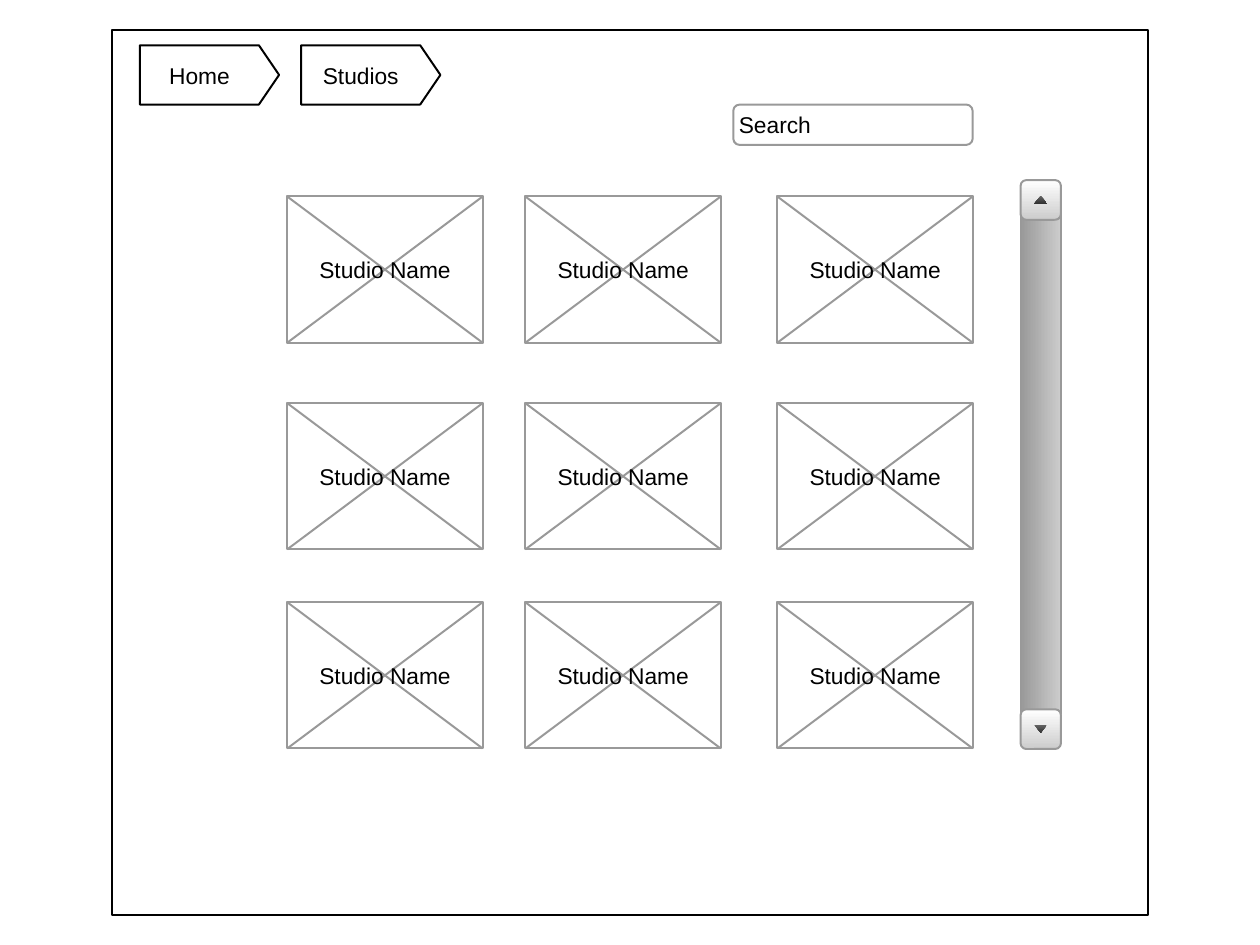
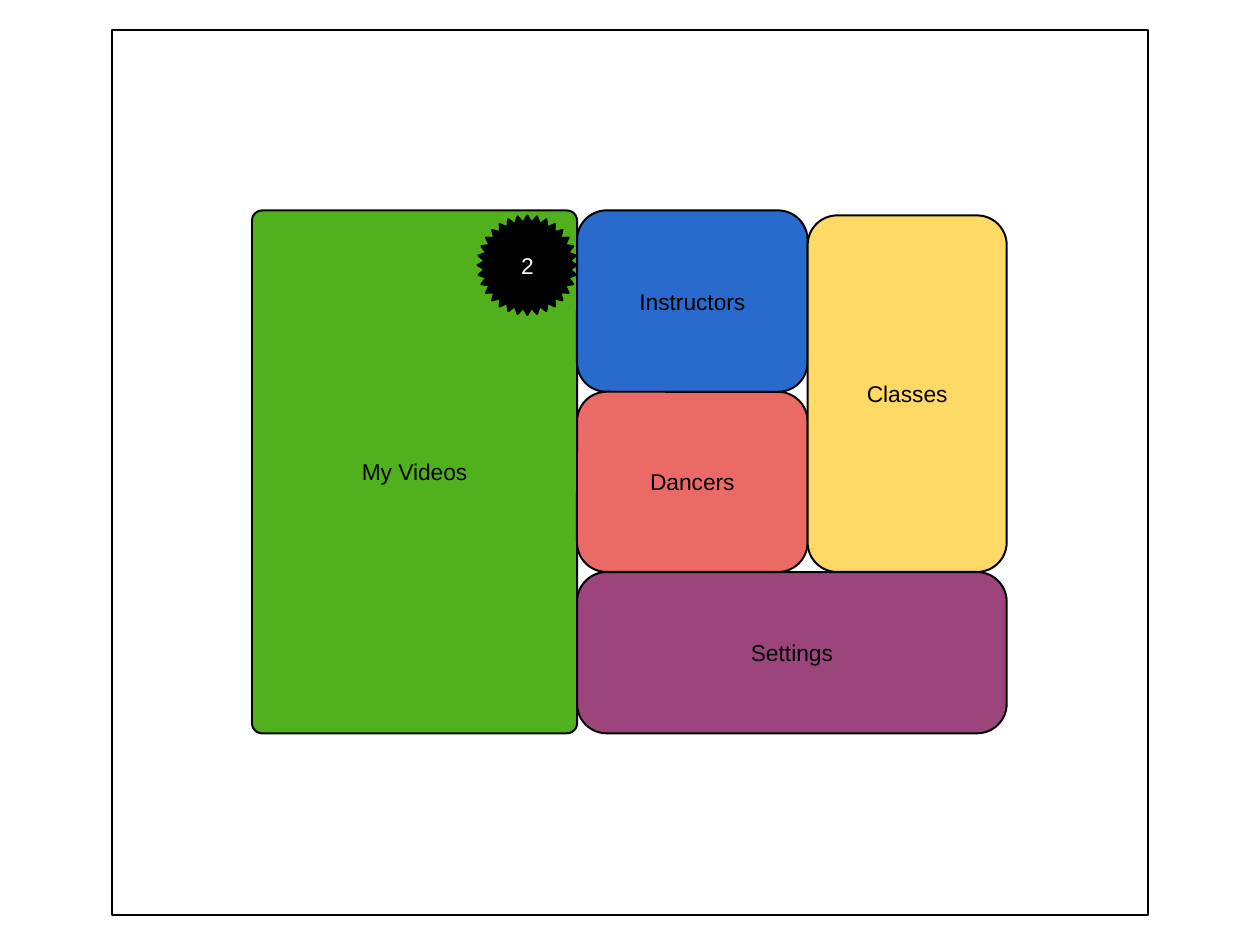
"""Build two app wireframes: a studio browser and a home menu."""
from itertools import product

from lxml.etree import SubElement
from pptx import Presentation
from pptx.dml.color import RGBColor
from pptx.enum.shapes import MSO_CONNECTOR as CONN, MSO_SHAPE as SHAPE
from pptx.enum.text import MSO_ANCHOR as ANCHOR, PP_ALIGN as ALIGN
from pptx.oxml.ns import qn
from pptx.util import Inches, Pt

BLACK, WHITE, GREY, SILVER = "000000", "FFFFFF", "999999", "CCCCCC"
LINE_W = Pt(1.13)
ROUND = SHAPE.ROUNDED_RECTANGLE

prs = Presentation()
prs.slide_width, prs.slide_height = Inches(10), Inches(7.5)
CELL = prs.slide_width / 100


def write(sp, text, color=BLACK, align=ALIGN.CENTER, left=0, right=0):
    tf = sp.text_frame
    tf.word_wrap = True
    tf.vertical_anchor = ANCHOR.MIDDLE
    tf.margin_top = tf.margin_bottom = 0
    tf.margin_left, tf.margin_right = int(left * CELL), int(right * CELL)
    p = tf.paragraphs[0]
    p.text, p.alignment = text, align
    p.font.name, p.font.size = "Arial", Pt(13)
    p.font.color.rgb = RGBColor.from_string(color)


def box(s, kind, rect, fill=WHITE, line=BLACK, radius=None, angle=270):
    sp = s.shapes.add_shape(kind, *(int(v * CELL) for v in rect))
    sp.shadow.inherit = False
    if isinstance(fill, tuple):
        sp.fill.gradient()
        sp.fill.gradient_angle = angle
        for stop, color in zip(sp.fill.gradient_stops, fill):
            stop.color.rgb = RGBColor.from_string(color)
    else:
        sp.fill.solid()
        sp.fill.fore_color.rgb = RGBColor.from_string(fill)
    if line:
        sp.line.color.rgb = RGBColor.from_string(line)
        sp.line.width = LINE_W
    else:
        sp.line.fill.background()
    if radius:
        sp.adjustments[0] = radius / min(rect[2:])
    return sp


studios, menu = (prs.slides.add_slide(prs.slide_layouts[6]) for _ in range(2))
for s in (studios, menu):
    box(s, SHAPE.RECTANGLE, (8.9, 2.4, 82.2, 70.2))

for x, crumb in ((11.1, "Home"), (23.9, "Studios")):
    sp = box(studios, SHAPE.PENTAGON, (x, 3.6, 11.05, 4.7), radius=1.6)
    write(sp, crumb, right=0.8)

search = box(studios, ROUND, (58.2, 8.3, 19, 3.2), line=GREY, radius=0.5)
write(search, "Search", align=ALIGN.LEFT, left=0.3)

TILE_W, TILE_H = 15.5, 11.6
for y, x in product((15.6, 32, 47.8), (22.8, 41.7, 61.7)):
    tile = (x, y, TILE_W, TILE_H)
    box(studios, SHAPE.RECTANGLE, tile, line=GREY)
    for x1, x2 in ((x, x + TILE_W), (x + TILE_W, x)):
        ends = (int(v * CELL) for v in (x1, y, x2, y + TILE_H))
        diagonal = studios.shapes.add_connector(CONN.STRAIGHT, *ends)
        diagonal.line.color.rgb = RGBColor.from_string(GREY)
        diagonal.line.width = LINE_W
        SubElement(diagonal.element.spPr, qn("a:effectLst"))
    write(studios.shapes.add_textbox(*(int(v * CELL) for v in tile)), "Studio Name")

BAR_X, BAR_W = 81, 3.2
box(studios, SHAPE.RECTANGLE, (BAR_X, 17, BAR_W, 39.7), (GREY, SILVER), GREY, angle=0)
for y, arrow in ((14.3, SHAPE.ISOSCELES_TRIANGLE), (56.3, SHAPE.FLOWCHART_MERGE)):
    box(studios, ROUND, (BAR_X, y, BAR_W, 3.15), (WHITE, SILVER), GREY, radius=0.45)
    box(studios, arrow, (BAR_X + 1.1, y + 1.23, 1, 0.63), ("666666", "333333"), None)

COL = (20, 45.8, 64.1, 79.9)
ROW = (16.7, 31.1, 45.4, 58.2)
for name, color, left, top, right, bottom, radius in (
    ("My Videos", "51B11D", COL[0], ROW[0], COL[1], ROW[3], 0.8),
    ("Settings", "9C457D", COL[1], ROW[2], COL[3], ROW[3], 2.35),
    ("Instructors", "286BCC", COL[1], ROW[0], COL[2], ROW[1], 2.35),
    ("Dancers", "EA6B66", COL[1], ROW[1], COL[2], ROW[2], 2.35),
    ("Classes", "FFD966", COL[2], ROW[0] + 0.4, COL[3], ROW[2], 2.35),
):
    rect = (left, top, right - left, bottom - top)
    write(box(menu, ROUND, rect, color, radius=radius), name)

badge = box(menu, SHAPE.STAR_32_POINT, (37.9, 17.1, 7.9, 7.9), BLACK)
badge.adjustments[0] = 0.43
write(badge, "2", WHITE)

prs.save("out.pptx")
